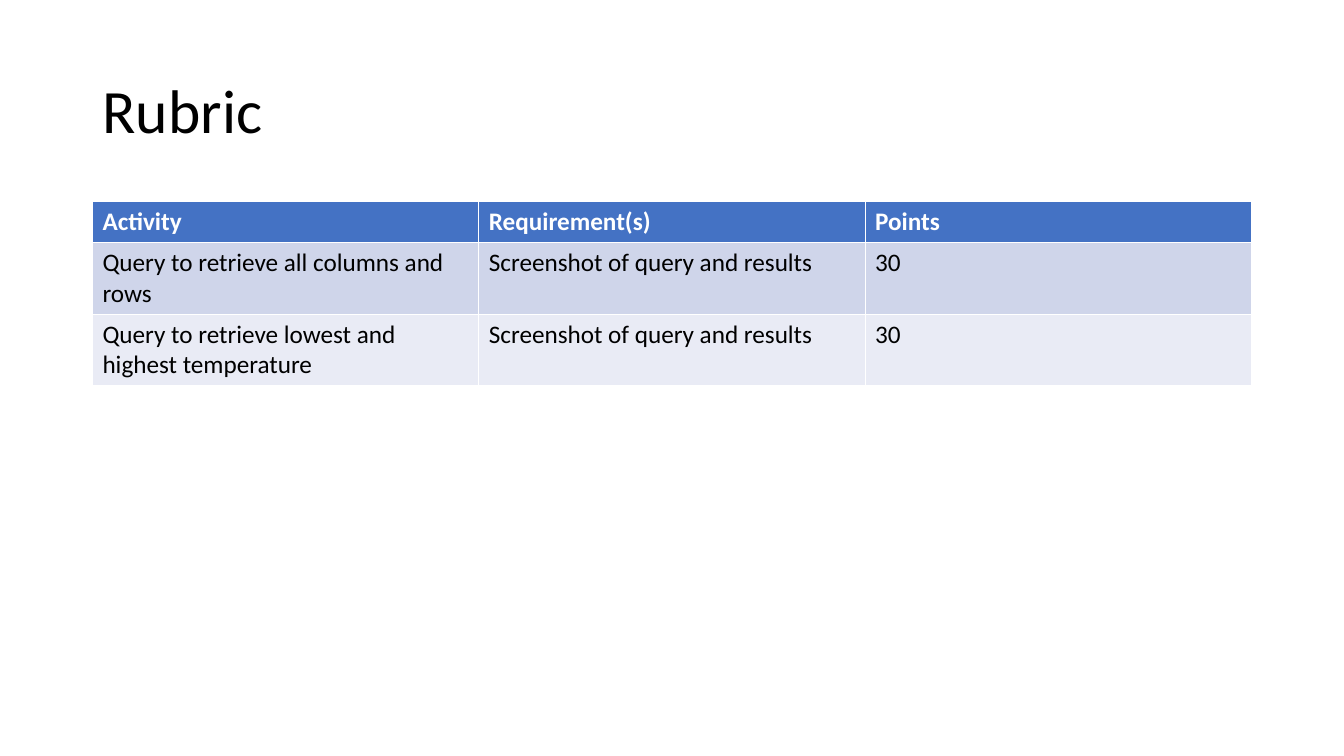
from pptx import Presentation
from pptx.dml.color import RGBColor
from pptx.enum import text
from pptx.util import Cm, Pt

TITLE = "Rubric"
ROWS = [
    ("Activity", "Requirement(s)", "Points"),
    ("Query to retrieve all columns and rows", "Screenshot of query and results", "30"),
    ("Query to retrieve lowest and highest temperature", "Screenshot of query and results", "30"),
]
FILLS = ["4472C4", "CFD5EA", "E9EBF5"]
HEIGHTS = [1.03, 1.78, 1.78]
LEFT, WIDTH = 2.33, 29.21
TITLE_TOP, TITLE_HEIGHT = 1.01, 3.68
TABLE_TOP = 5.08


def color(value):
    return RGBColor.from_string(value)


def write(tf, words, size=18, fill="000000", bold=False, spacing=1.0):
    p = tf.paragraphs[0]
    p.alignment = text.PP_ALIGN.LEFT
    p.line_spacing = spacing
    r = p.add_run()
    r.text = words
    r.font.name = "Calibri"
    r.font.size = Pt(size)
    r.font.bold = bold
    r.font.color.rgb = color(fill)


def main():
    prs = Presentation()
    prs.slide_width, prs.slide_height = Cm(33.87), Cm(19.05)
    s = prs.slides.add_slide(prs.slide_layouts[5])

    sp = s.shapes.title
    sp.left, sp.top = Cm(LEFT), Cm(TITLE_TOP)
    sp.width, sp.height = Cm(WIDTH), Cm(TITLE_HEIGHT)
    sp.text_frame.vertical_anchor = text.MSO_ANCHOR.MIDDLE
    write(sp.text_frame, TITLE, size=44, spacing=0.9)

    table = s.shapes.add_table(
        len(ROWS), len(ROWS[0]), Cm(LEFT), Cm(TABLE_TOP), Cm(WIDTH), Cm(sum(HEIGHTS))
    ).table
    for i, (row, fill, height) in enumerate(zip(ROWS, FILLS, HEIGHTS)):
        table.rows[i].height = Cm(height)
        header = i == 0
        for j, words in enumerate(row):
            cell = table.cell(i, j)
            cell.fill.solid()
            cell.fill.fore_color.rgb = color(fill)
            write(cell.text_frame, words, fill="FFFFFF" if header else "000000", bold=header)

    prs.save("out.pptx")


if __name__ == "__main__":
    main()
